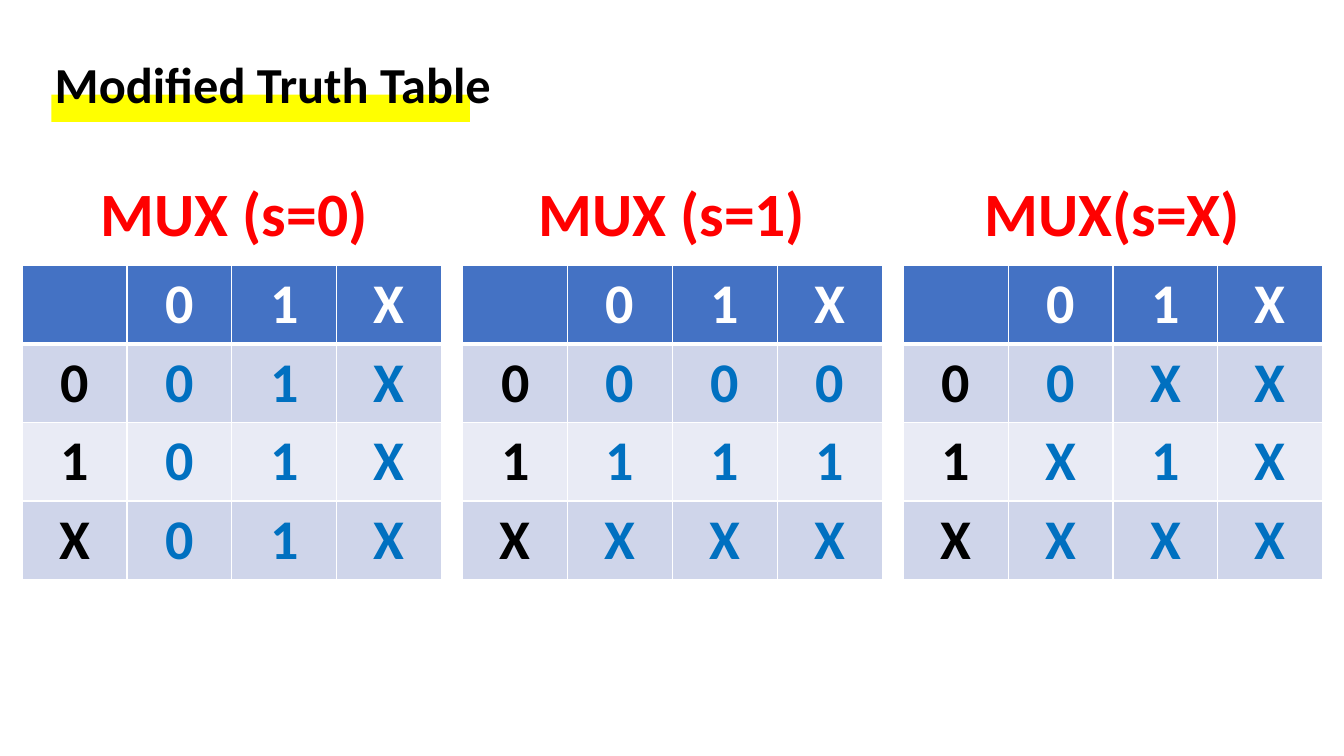
from dataclasses import dataclass

from lxml.etree import SubElement
from pptx import Presentation
from pptx.dml.color import RGBColor
from pptx.enum.shapes import MSO_SHAPE
from pptx.enum.text import MSO_ANCHOR, MSO_AUTO_SIZE, PP_ALIGN
from pptx.oxml.ns import qn
from pptx.util import Emu, Pt

EMU_PER_PX = 9144


@dataclass(frozen=True)
class Theme:
    font: str = "Calibri"
    black: str = "000000"
    white: str = "FFFFFF"
    highlight: str = "FFFF00"
    heading: str = "FF0000"
    header_fill: str = "4472C4"
    bands: tuple = ("CFD5EA", "E9EBF5")
    output: str = "0070C0"
    title_size: int = 36
    heading_size: int = 44
    cell_size: int = 40
    thin_border: int = 1
    header_border: int = 3


THEME = Theme()
SIGNALS = "01X"
CELL_WIDTH, CELL_HEIGHT = 104, 78
TABLE_LEFT, TABLE_TOP, TABLE_PITCH = 22, 263, 437
# Heading, its left edge, and the outputs by row
TRUTH_TABLES = [
    ("MUX (s=0)", 82, ("01X", "01X", "01X")),
    ("MUX (s=1)", 516, ("000", "111", "XXX")),
    ("MUX(s=X)", 953, ("0XX", "X1X", "XXX")),
]


def px(*lengths):
    return [Emu(length * EMU_PER_PX) for length in lengths]


def write(frame, text, *, size, color, align=PP_ALIGN.CENTER, spacing=None):
    paragraph = frame.paragraphs[0]
    paragraph.alignment = align
    paragraph.line_spacing = spacing
    run = paragraph.add_run()
    run.text = text
    run.font.name = THEME.font
    run.font.size = Pt(size)
    run.font.bold = True
    run.font.color.rgb = RGBColor.from_string(color)


def add_title(slide, text):
    title = slide.shapes.title
    title.left, title.top, title.width, title.height = px(33, 34, 612, 104)
    frame = title.text_frame
    frame.auto_size = MSO_AUTO_SIZE.NONE
    frame.vertical_anchor = MSO_ANCHOR.MIDDLE
    write(frame, text, size=THEME.title_size, color=THEME.black,
          align=PP_ALIGN.LEFT, spacing=0.9)


def add_title_highlight(slide):
    """Place the highlighter bar behind the title."""
    bar = slide.shapes.add_shape(MSO_SHAPE.RECTANGLE, *px(51, 94, 415, 27))
    bar.shadow.inherit = False
    bar.fill.solid()
    bar.fill.fore_color.rgb = RGBColor.from_string(THEME.highlight)
    bar.line.fill.background()
    slide.shapes.title._element.addprevious(bar._element)


def add_heading(slide, text, left):
    heading = slide.shapes.add_textbox(*px(left, 176, 301, 68))
    frame = heading.text_frame
    frame.word_wrap = True
    frame.vertical_anchor = MSO_ANCHOR.MIDDLE
    write(frame, text, size=THEME.heading_size, color=THEME.heading)


def set_borders(cell, row):
    """Draw thin edges, with a thicker rule between header and body."""
    widths = dict.fromkeys(("lnL", "lnR", "lnT", "lnB"), THEME.thin_border)
    if row == 0:
        widths["lnB"] = THEME.header_border
    elif row == 1:
        widths["lnT"] = THEME.header_border
    properties = cell._tc.get_or_add_tcPr()
    for edge, width in widths.items():
        line = SubElement(properties, qn(f"a:{edge}"), w=str(Pt(width)))
        fill = SubElement(line, qn("a:solidFill"))
        SubElement(fill, qn("a:srgbClr"), val=THEME.white)


def cell_colors(row, column):
    """Return the fill and text colours of a cell."""
    if row == 0:
        return THEME.header_fill, THEME.white
    text_color = THEME.output if column else THEME.black
    return THEME.bands[(row - 1) % 2], text_color


def add_truth_table(slide, left, outputs):
    rows = [("", *SIGNALS)]
    rows += [(signal, *values) for signal, values in zip(SIGNALS, outputs)]
    side = len(rows)
    table = slide.shapes.add_table(
        side, side,
        *px(left, TABLE_TOP, side * CELL_WIDTH, side * CELL_HEIGHT)).table
    for r, values in enumerate(rows):
        for c, value in enumerate(values):
            cell = table.cell(r, c)
            fill, text_color = cell_colors(r, c)
            set_borders(cell, r)
            cell.fill.solid()
            cell.fill.fore_color.rgb = RGBColor.from_string(fill)
            if value:
                write(cell.text_frame, value, size=THEME.cell_size,
                      color=text_color)


def main():
    deck = Presentation()
    deck.slide_width, deck.slide_height = px(1333, 750)
    slide = deck.slides.add_slide(deck.slide_layouts[5])
    add_title(slide, " Modified Truth Table")
    add_title_highlight(slide)
    for index, (heading, heading_left, outputs) in enumerate(TRUTH_TABLES):
        add_truth_table(slide, TABLE_LEFT + index * TABLE_PITCH, outputs)
        add_heading(slide, heading, heading_left)
    deck.save("out.pptx")


if __name__ == "__main__":
    main()
